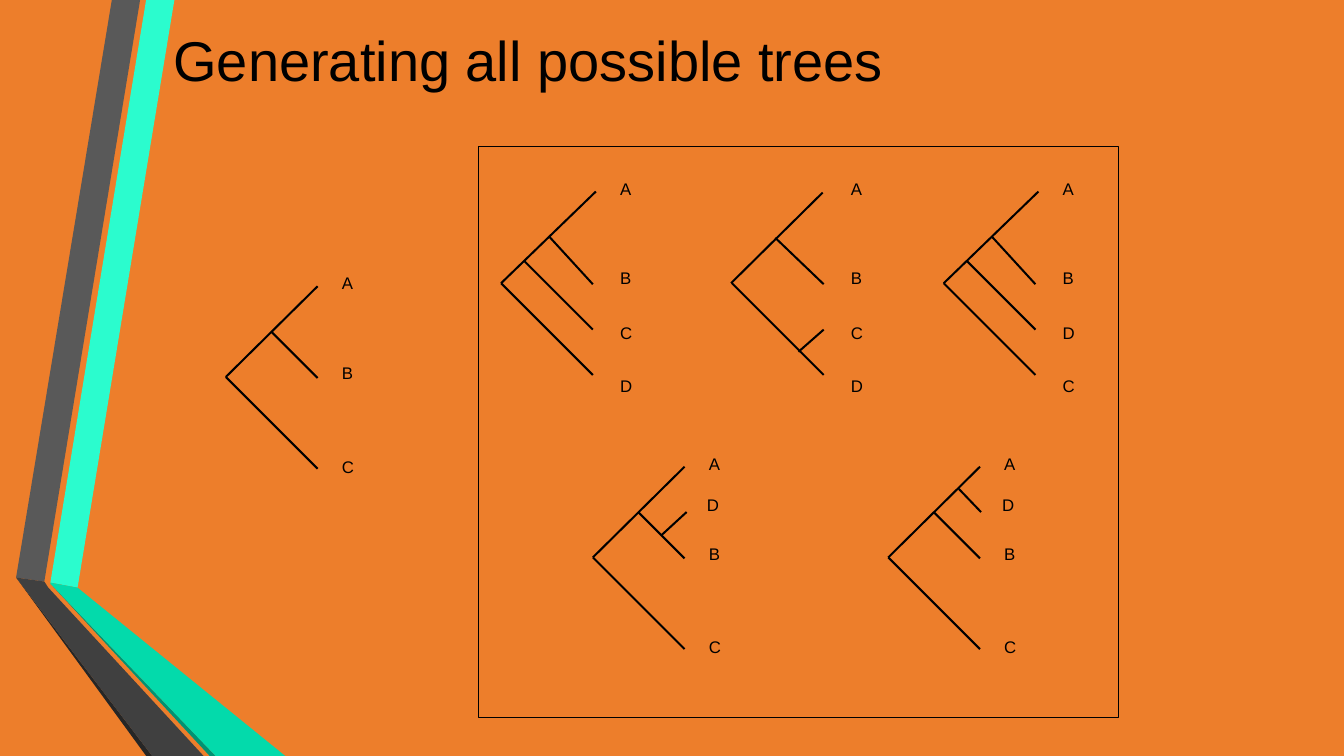
"""Build the slide that lists the trees grown by adding a fourth taxon."""
from pptx import Presentation
from pptx.dml.color import RGBColor
from pptx.enum.shapes import MSO_CONNECTOR as Connector, MSO_SHAPE as Shape
from pptx.enum.text import MSO_ANCHOR as Anchor, PP_ALIGN as Align
from pptx.oxml.ns import qn
from pptx.util import Inches, Pt
from lxml import etree


def color(value):
    return RGBColor.from_string(value)


def add_span(para, text, size):
    span = para.add_run()
    span.text = text
    span.font.name = "Arial"
    span.font.size = Pt(size)
    span.font.color.rgb = color("000000")


deck = Presentation()
deck.slide_width, deck.slide_height = Inches(13.33), Inches(7.5)
page = deck.slides.add_slide(deck.slide_layouts[5])
page.background.fill.solid()
page.background.fill.fore_color.rgb = color("ED7E2B")

ribbons = [
    ("2BFCCE", [(0.5, 5.78), (0.77, 5.83), (1.73, 0), (1.45, 0)]),
    ("595959", [(1.39, 0), (1.11, 0), (0.16, 5.73), (0.44, 5.77)]),
    ("262626", [(0.16, 5.73), (1.45, 7.5), (1.51, 7.5)]),
    ("029172", [(0.5, 5.79), (2.08, 7.5), (2.14, 7.5)]),
    ("03DAAB", [(0.5, 5.79), (2.14, 7.5), (2.83, 7.5), (0.77, 5.83), (0.5, 5.78)]),
    ("404040", [(2.02, 7.5), (0.48, 5.83), (0.44, 5.77), (0.16, 5.73), (1.51, 7.5)]),
]
for fill, corners in ribbons:
    points = [(Inches(x), Inches(y)) for x, y in corners]
    builder = page.shapes.build_freeform(*points[0])
    builder.add_line_segments(points[1:], close=True)
    ribbon = builder.convert_to_shape()
    ribbon.shadow.inherit = False
    ribbon.fill.solid()
    ribbon.fill.fore_color.rgb = color(fill)
    ribbon.line.fill.background()

title = page.shapes.title
page.shapes.element.append(title.element)
title.left, title.top = Inches(1.62), Inches(0)
title.width, title.height = Inches(10.96), Inches(1.17)
title.text_frame.vertical_anchor = Anchor.MIDDLE
title.text_frame.paragraphs[0].alignment = Align.LEFT
add_span(title.text_frame.paragraphs[0], "Generating all possible trees", 40)

# Branches run from tip to node and labels sit at offsets from each root.
three_branches = [
    ((0.91, -0.9), (0, 0)),
    ((0.91, 0.91), (0, 0)),
    ((0.91, 0.01), (0.45, -0.45)),
]
three_labels = [("A", 1.06, -1.09), ("B", 1.06, -0.2), ("C", 1.06, 0.73)]
four_labels = three_labels + [("D", 1.04, -0.68)]
ladder_branches = [
    ((0.94, -0.91), (0, 0)),
    ((0.91, 0.91), (0, 0)),
    ((0.91, 0.01), (0.48, -0.46)),
    ((0.91, 0.46), (0.23, -0.22)),
]
paired_branches = [
    ((0.9, -0.9), (-0.01, 0)),
    ((0.91, 0.91), (0, 0)),
    ((0.91, 0.01), (0.43, -0.45)),
    ((0.91, 0.46), (0.66, 0.68)),
]
ladder_tops = (-1.1, -0.21, 0.33, 0.86)
abcd_labels, abdc_labels = [
    [(name, 1.09, top) for name, top in zip(order, ladder_tops)]
    for order in ("ABCD", "ABDC")
]
trees = [
    (4.97, 2.81, ladder_branches, abcd_labels),
    (2.24, 3.74, three_branches, three_labels),
    (7.26, 2.81, paired_branches, abcd_labels),
    (9.36, 2.81, ladder_branches, abdc_labels),
    (5.88, 5.53, three_branches + [((0.93, -0.45), (0.68, -0.22))], four_labels),
    (8.81, 5.53, three_branches + [((0.92, -0.45), (0.7, -0.68))], four_labels),
]
for root_x, root_y, branches, labels in trees:
    tree = page.shapes.add_group_shape()
    for (tip_x, tip_y), (node_x, node_y) in branches:
        branch = tree.shapes.add_connector(
            Connector.STRAIGHT,
            Inches(root_x + tip_x), Inches(root_y + tip_y),
            Inches(root_x + node_x), Inches(root_y + node_y),
        )
        branch.line.color.rgb = color("000000")
        branch.line.width = Pt(1.45)
        etree.SubElement(branch.element.spPr, qn("a:effectLst"))
    for name, left, top in labels:
        box = tree.shapes.add_textbox(
            Inches(root_x + left), Inches(root_y + top), Inches(0.3), Inches(0.34)
        )
        frame = box.text_frame
        frame.word_wrap = False
        frame.margin_left = frame.margin_right = Inches(0.09)
        frame.margin_top, frame.margin_bottom = Inches(0.06), Inches(0.04)
        add_span(frame.paragraphs[0], name, 12)

border = page.shapes.add_shape(
    Shape.RECTANGLE, Inches(4.75), Inches(1.45), Inches(6.34), Inches(5.67)
)
border.shadow.inherit = False
border.fill.background()
border.line.color.rgb = color("000000")
border.line.width = Pt(0.75)

deck.save("out.pptx")
